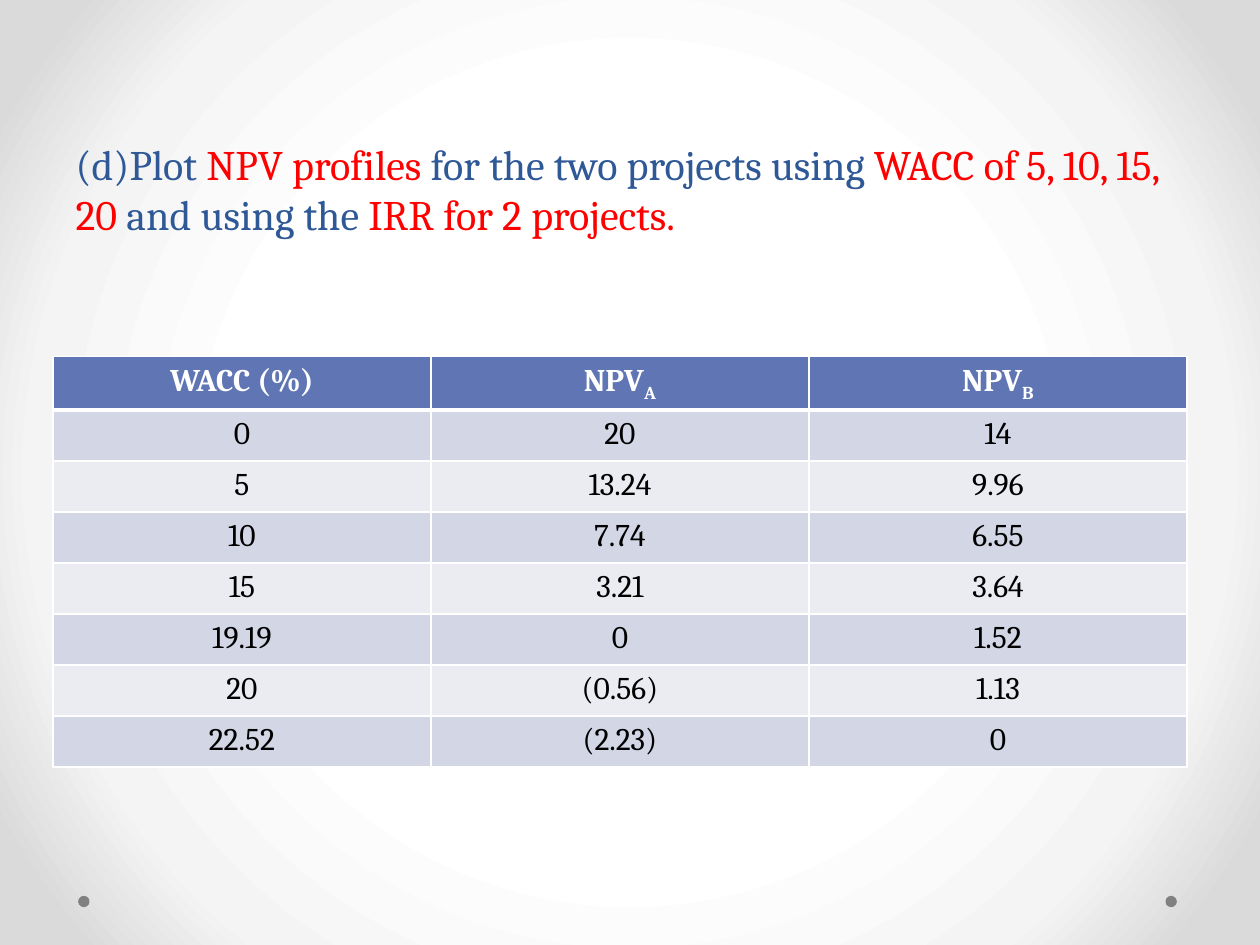
"""Build the NPV profile slide: a question title above a table of values."""
from typing import NamedTuple

from pptx import Presentation, oxml
from pptx import util as u
from pptx.dml.color import RGBColor
from pptx.enum import shapes, text
from pptx.oxml import ns

FONT = "Cambria"
BLUE, RED, WHITE, BLACK = "2F5897", "FF0000", "FFFFFF", "000000"
HEADER, BANDS = "6076B4", ("D2D6E5", "EAECF2")
BACKDROP = ((50, "FFFFFF"), (76, "F4F4F4"), (92, "DADADA"))


class Run(NamedTuple):
    words: str
    color: str
    size: int
    bold: bool = False
    baseline: int = 0


class Dot(NamedTuple):
    left: float
    top: float = 7.11
    size: float = 0.09


TITLE = [
    Run("(d)Plot ", BLUE, 24),
    Run("NPV profiles", RED, 24),
    Run(" for the two projects using ", BLUE, 24),
    Run("WACC of 5, 10, 15, 20 ", RED, 24),
    Run("and using the ", BLUE, 24),
    Run("IRR for 2 projects.", RED, 24),
]
HEADINGS = [("WACC (%)", ""), ("NPV", "A"), ("NPV", "B")]
VALUES = [
    ("0", "20", "14"),
    ("5", "13.24", "9.96"),
    ("10", "7.74", "6.55"),
    ("15", "3.21", "3.64"),
    ("19.19", "0", "1.52"),
    ("20", "(0.56)", "1.13"),
    ("22.52", "(2.23)", "0"),
]


def rgb(value: str) -> RGBColor:
    return RGBColor.from_string(value)


def set_background(s) -> None:
    stops = "".join(
        f'<a:gs pos="{pos * 1000}"><a:srgbClr val="{color}"/></a:gs>'
        for pos, color in BACKDROP
    )
    s._element.cSld.insert(0, oxml.parse_xml(
        f'<p:bg {ns.nsdecls("p", "a")}><p:bgPr><a:gradFill rotWithShape="1">'
        f'<a:gsLst>{stops}</a:gsLst><a:path path="circle">'
        '<a:fillToRect l="50000" t="50000" r="50000" b="50000"/></a:path>'
        '</a:gradFill><a:effectLst/></p:bgPr></p:bg>'
    ))


def add_dot(s, dot: Dot) -> None:
    sp = s.shapes.add_shape(
        shapes.MSO_SHAPE.OVAL,
        *(u.Inches(v) for v in (dot.left, dot.top, dot.size, dot.size)),
    )
    sp.shadow.inherit = False
    sp.fill.solid()
    sp.fill.fore_color.rgb = rgb("808080")
    sp.line.fill.background()


def write(p, runs: list[Run], align) -> None:
    p.alignment = align
    for run in runs:
        r = p.add_run()
        r.text = run.words
        style = {"name": FONT, "size": u.Pt(run.size), "bold": run.bold}
        for key, value in style.items():
            setattr(r.font, key, value)
        r.font.color.rgb = rgb(run.color)
        if run.baseline:
            r._r.get_or_add_rPr().set("baseline", str(run.baseline * 1000))


def fill_title(sp) -> None:
    box = {"left": 0.5, "top": 0.67, "width": 9, "height": 1.67}
    for key, value in box.items():
        setattr(sp, key, u.Inches(value))
    tf = sp.text_frame
    frame = {
        "word_wrap": True,
        "auto_size": text.MSO_AUTO_SIZE.NONE,
        "vertical_anchor": text.MSO_ANCHOR.BOTTOM,
        "margin_bottom": u.Inches(0.44),
    }
    for key, value in frame.items():
        setattr(tf, key, value)
    write(tf.paragraphs[0], TITLE, text.PP_ALIGN.LEFT)


def format_cell(cell, runs: list[Run], fill: str, bottom: int) -> None:
    write(cell.text_frame.paragraphs[0], runs, text.PP_ALIGN.CENTER)
    tc_pr = cell._tc.get_or_add_tcPr()
    for side, width in {"L": 1, "R": 1, "T": 1, "B": bottom}.items():
        tc_pr.append(oxml.parse_xml(
            f'<a:ln{side} {ns.nsdecls("a")} w="{u.Pt(width)}"><a:solidFill>'
            f'<a:srgbClr val="{WHITE}"/></a:solidFill></a:ln{side}>'
        ))
    cell.fill.solid()
    cell.fill.fore_color.rgb = rgb(fill)


def add_values(s) -> None:
    table = s.shapes.add_table(
        len(VALUES) + 1, len(HEADINGS),
        *(u.Inches(v) for v in (0.42, 2.83, 9, 3.24)),
    ).table
    for col, (name, project) in enumerate(HEADINGS):
        runs = [Run(name, WHITE, 18, True)]
        if project:
            runs.append(Run(project, WHITE, 18, True, -25))
        format_cell(table.cell(0, col), runs, HEADER, 3)
    for row, values in enumerate(VALUES):
        for col, value in enumerate(values):
            format_cell(table.cell(row + 1, col), [Run(value, BLACK, 18)],
                        BANDS[row % 2], 1)


def main() -> None:
    prs = Presentation()
    prs.slide_width, prs.slide_height = u.Inches(10), u.Inches(7.5)
    s = prs.slides.add_slide(prs.slide_layouts[5])
    set_background(s)
    for left in (9.25, 0.62):
        add_dot(s, Dot(left))
    fill_title(s.shapes.title)
    add_values(s)
    prs.save("out.pptx")


if __name__ == "__main__":
    main()
